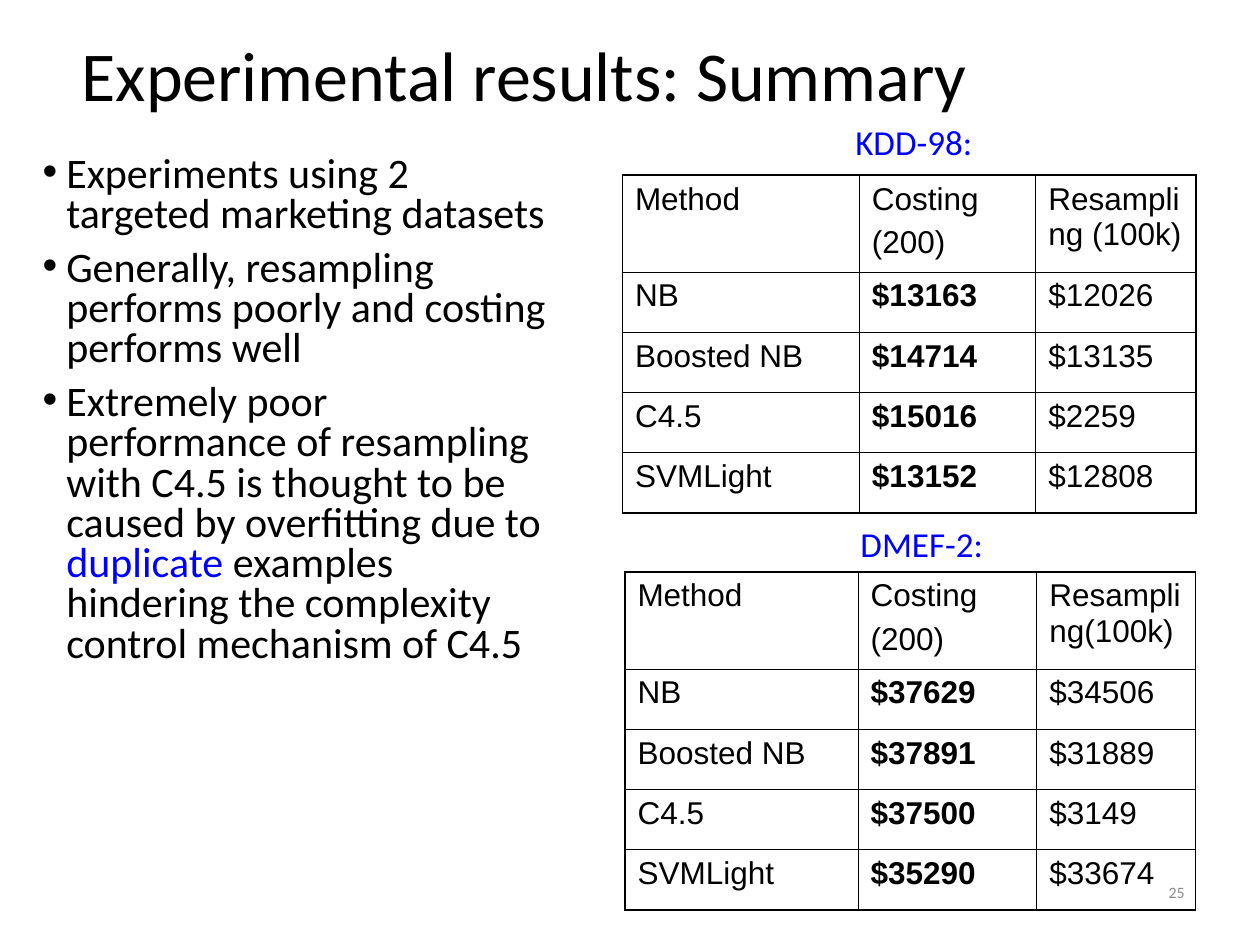
"""Build the experimental results summary slide."""
from lxml import etree
from pptx import Presentation
from pptx.dml.color import RGBColor
from pptx.enum.text import MSO_ANCHOR, PP_ALIGN
from pptx.oxml.ns import qn
from pptx.util import Pt

BLACK = RGBColor(0, 0, 0)
BLUE = RGBColor(0, 0, 255)
GRAY = RGBColor(0x89, 0x89, 0x89)
TOP, MIDDLE = MSO_ANCHOR.TOP, MSO_ANCHOR.MIDDLE
LEFT, RIGHT = PP_ALIGN.LEFT, PP_ALIGN.RIGHT
THIN, THICK = Pt(0.45), Pt(1.08)


def style(run, size, color, face="Calibri"):
    run.font.size = Pt(size)
    run.font.name = face
    run.font.color.rgb = color


def border(cell, side, width):
    line = etree.SubElement(cell._tc.get_or_add_tcPr(), qn("a:ln" + side), w=str(width))
    fill = etree.SubElement(line, qn("a:solidFill"))
    etree.SubElement(fill, qn("a:srgbClr"), val=str(BLACK))


prs = Presentation()
prs.slide_width, prs.slide_height = Pt(720), Pt(540)
slide = prs.slides.add_slide(prs.slide_layouts[6])

labels = [
    ("Experimental results: Summary", 39.6, 0, 648, 90, 40, BLACK, MIDDLE, LEFT, 0.9),
    ("25", 516.3, 491.8, 167.7, 36, 9, GRAY, MIDDLE, RIGHT, 1),
    ("KDD-98:", 481.7, 65.5, 81.4, 31.5, 20, BLUE, TOP, LEFT, 1),
    ("DMEF-2:", 484.6, 295.2, 94.3, 31.5, 20, BLUE, TOP, LEFT, 1),
]
for text, x, y, w, h, size, color, anchor, align, gap in labels:
    box = slide.shapes.add_textbox(Pt(x), Pt(y), Pt(w), Pt(h))
    frame = box.text_frame
    frame.text = text
    frame.word_wrap = True
    frame.vertical_anchor = anchor
    para = frame.paragraphs[0]
    para.alignment = align
    para.line_spacing = gap
    style(para.runs[0], size, color)

points = [
    [("Experiments using 2 targeted marketing datasets", BLACK)],
    [("Generally, resampling performs poorly and costing performs well", BLACK)],
    [
        ("Extremely poor performance of resampling with C4.5 is thought to be "
         "caused by overfitting due to ", BLACK),
        ("duplicate", BLUE),
        (" examples hindering the complexity control mechanism of C4.5", BLACK),
    ],
]
body = slide.shapes.add_textbox(Pt(17.3), Pt(85.7), Pt(306), Pt(320.4))
frame = body.text_frame
frame.word_wrap = True
for i, parts in enumerate(points):
    para = frame.add_paragraph() if i else frame.paragraphs[0]
    para.line_spacing = 0.8
    para.space_before = Pt(7.5 if i else 0)
    props = para._p.get_or_add_pPr()
    props.set("marL", str(Pt(13.5)))
    props.set("indent", str(Pt(-13.5)))
    etree.SubElement(props, qn("a:buFont"), typeface="Arial")
    etree.SubElement(props, qn("a:buChar"), char="•")
    for text, color in parts:
        run = para.add_run()
        run.text = text
        style(run, 24, color)

methods = ["NB", "Boosted NB", "C4.5", "SVMLight"]
tables = [
    (355.7, 100.1, [135.4, 100.8, 91.4], "Resampling (100k)",
     ["$13163", "$14714", "$15016", "$13152"],
     ["$12026", "$13135", "$2259", "$12808"]),
    (357.1, 326.9, [133.2, 102.2, 90.7], "Resampling(100k)",
     ["$37629", "$37891", "$37500", "$35290"],
     ["$34506", "$31889", "$3149", "$33674"]),
]
heights = [55.4] + [34.4] * len(methods)
for x, y, widths, head, costs, samples in tables:
    rows = [("Method", "Costing\n(200)", head), *zip(methods, costs, samples)]
    last, end = len(rows) - 1, len(widths) - 1
    shape = slide.shapes.add_table(
        len(rows), len(widths), Pt(x), Pt(y), Pt(sum(widths)), Pt(sum(heights)))
    grid = shape.table
    grid.first_row = grid.horz_banding = False
    for col, width in zip(grid.columns, widths):
        col.width = Pt(width)
    for r, texts in enumerate(rows):
        grid.rows[r].height = Pt(heights[r])
        for c, text in enumerate(texts):
            cell = grid.cell(r, c)
            cell.text_frame.text = text
            for i, para in enumerate(cell.text_frame.paragraphs):
                para.space_before = Pt(4.5 if i else 0)
                style(para.runs[0], 18, BLACK, "Arial")
                para.runs[0].font.bold = r > 0 and c == 1
            edges = {"L": c == 0, "R": c == end, "T": r == 0, "B": r == last}
            for side, outer in edges.items():
                border(cell, side, THICK if outer else THIN)
            cell.fill.background()

prs.save("out.pptx")
